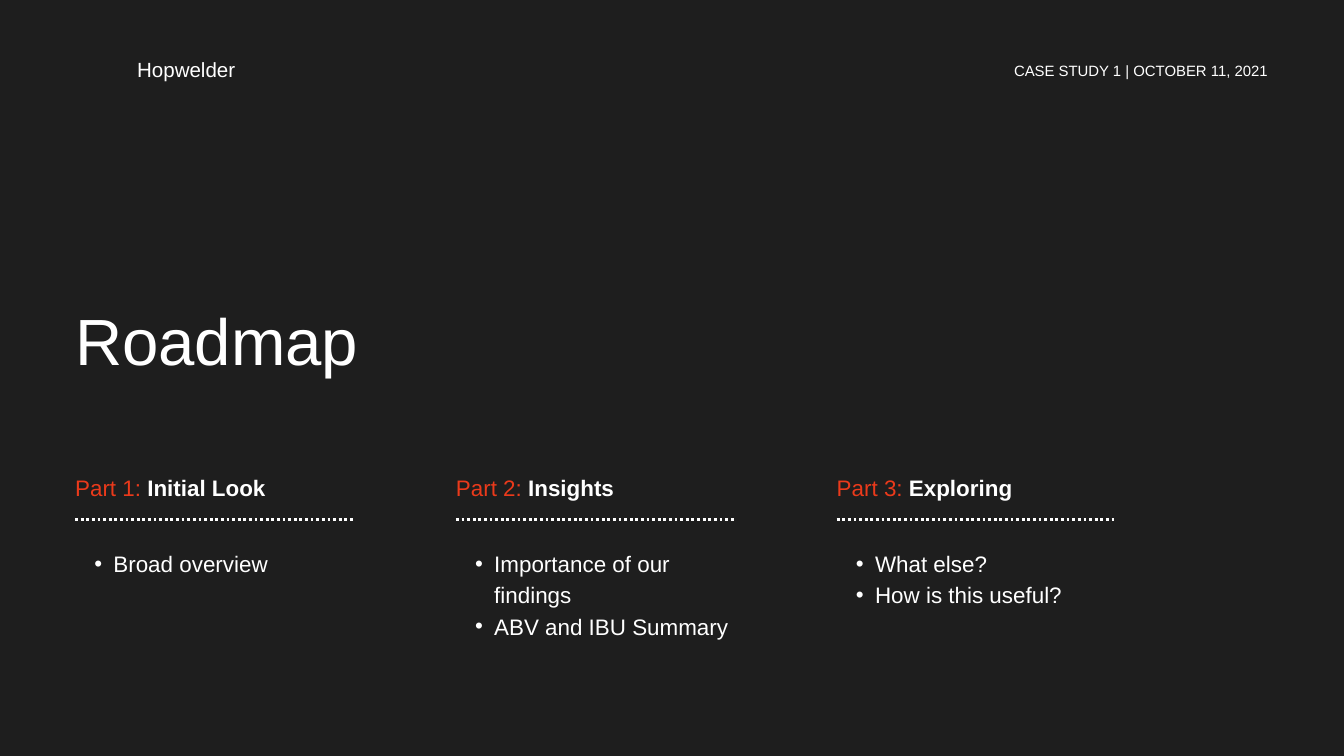
from dataclasses import dataclass

from lxml.etree import SubElement
from pptx import Presentation
from pptx.dml.color import RGBColor
from pptx.enum.dml import MSO_LINE_DASH_STYLE as Dash
from pptx.enum.shapes import MSO_CONNECTOR as Connector
from pptx.enum.text import MSO_AUTO_SIZE as AutoSize, PP_ALIGN as Align
from pptx.oxml.ns import qn
from pptx.util import Pt


@dataclass(frozen=True)
class Theme:
    font: str = "Arial"
    background: RGBColor = RGBColor(0x1E, 0x1E, 0x1E)
    white: RGBColor = RGBColor(0xFF, 0xFF, 0xFF)
    accent: RGBColor = RGBColor(0xEB, 0x3A, 0x1B)
    title: float = 70
    body: float = 24
    brand: float = 22
    caption: float = 16


THEME = Theme()
BODY_LEADING = 33.6
LEFT = 80.5
COLUMN_WIDTH = 300
COLUMN_PITCH = 408

PARTS = [
    ("Part 1: ", "Initial Look", ["Broad overview"], 1),
    ("Part 2: ", "Insights", ["Importance of our findings", "ABV and IBU Summary"], 3),
    ("Part 3: ", "Exploring", ["What else?", "How is this useful?"], 2),
]


def add_text_frame(shapes, left, top, width, height):
    frame = shapes.add_textbox(Pt(left), Pt(top), Pt(width), Pt(height)).text_frame
    frame.word_wrap = True
    frame.auto_size = AutoSize.SHAPE_TO_FIT_TEXT
    frame.margin_left = frame.margin_right = 0
    frame.margin_top = frame.margin_bottom = 0
    return frame


def add_run(paragraph, words, size, color=THEME.white, bold=False):
    run = paragraph.add_run()
    run.text = words
    run.font.name = THEME.font
    run.font.size = Pt(size)
    run.font.color.rgb = color
    run.font.bold = bold


def add_label(shapes, box, words, size, leading, align=Align.LEFT):
    paragraph = add_text_frame(shapes, *box).paragraphs[0]
    paragraph.alignment = align
    paragraph.line_spacing = Pt(leading)
    add_run(paragraph, words, size)


def add_bullet(paragraph):
    properties = paragraph._p.get_or_add_pPr()
    properties.set("marL", str(Pt(41)))
    properties.set("indent", str(-Pt(20.5)))
    SubElement(properties, qn("a:buFont"), typeface=THEME.font)
    SubElement(properties, qn("a:buChar"), char="•")


def add_heading(shapes, left, part, topic):
    heading = add_text_frame(shapes, left, 503.5, COLUMN_WIDTH, BODY_LEADING).paragraphs[0]
    heading.line_spacing = Pt(BODY_LEADING)
    add_run(heading, part, THEME.body, THEME.accent)
    add_run(heading, topic, THEME.body, bold=True)


def add_dotted_rule(shapes, left, y):
    rule = shapes.add_connector(
        Connector.STRAIGHT, Pt(left), Pt(y), Pt(left + COLUMN_WIDTH), Pt(y))
    rule.line.color.rgb = THEME.white
    rule.line.width = Pt(3)
    rule.line.dash_style = Dash.ROUND_DOT
    SubElement(rule._element.spPr, qn("a:effectLst"))


def add_bullet_list(shapes, left, points, line_count):
    frame = add_text_frame(shapes, left, 584.5, COLUMN_WIDTH, line_count * BODY_LEADING)
    for index, point in enumerate(points):
        paragraph = frame.add_paragraph() if index else frame.paragraphs[0]
        paragraph.level = 1
        add_bullet(paragraph)
        paragraph.line_spacing = Pt(BODY_LEADING)
        add_run(paragraph, point, THEME.body)


def main():
    deck = Presentation()
    deck.slide_width, deck.slide_height = Pt(1440), Pt(810)
    slide = deck.slides.add_slide(deck.slide_layouts[6])
    slide.background.fill.solid()
    slide.background.fill.fore_color.rgb = THEME.background

    # Roadmap columns
    for column, (part, topic, points, line_count) in enumerate(PARTS):
        left = LEFT + column * COLUMN_PITCH
        shapes = slide.shapes.add_group_shape().shapes
        add_heading(shapes, left, part, topic)
        add_dotted_rule(shapes, left, 557)
        add_bullet_list(shapes, left, points, line_count)

    # Title
    add_label(slide.shapes, (LEFT, 322, 766, 85), "Roadmap", THEME.title, 84)

    # Header
    add_label(slide.shapes, (961, 62.5, 397.5, 22), "CASE STUDY 1 | OCTOBER 11, 2021",
              THEME.caption, 22.4, Align.RIGHT)
    add_label(slide.shapes, (147, 61, 279, 26), "Hopwelder", THEME.brand, 26.4)

    deck.save("out.pptx")


if __name__ == "__main__":
    main()
